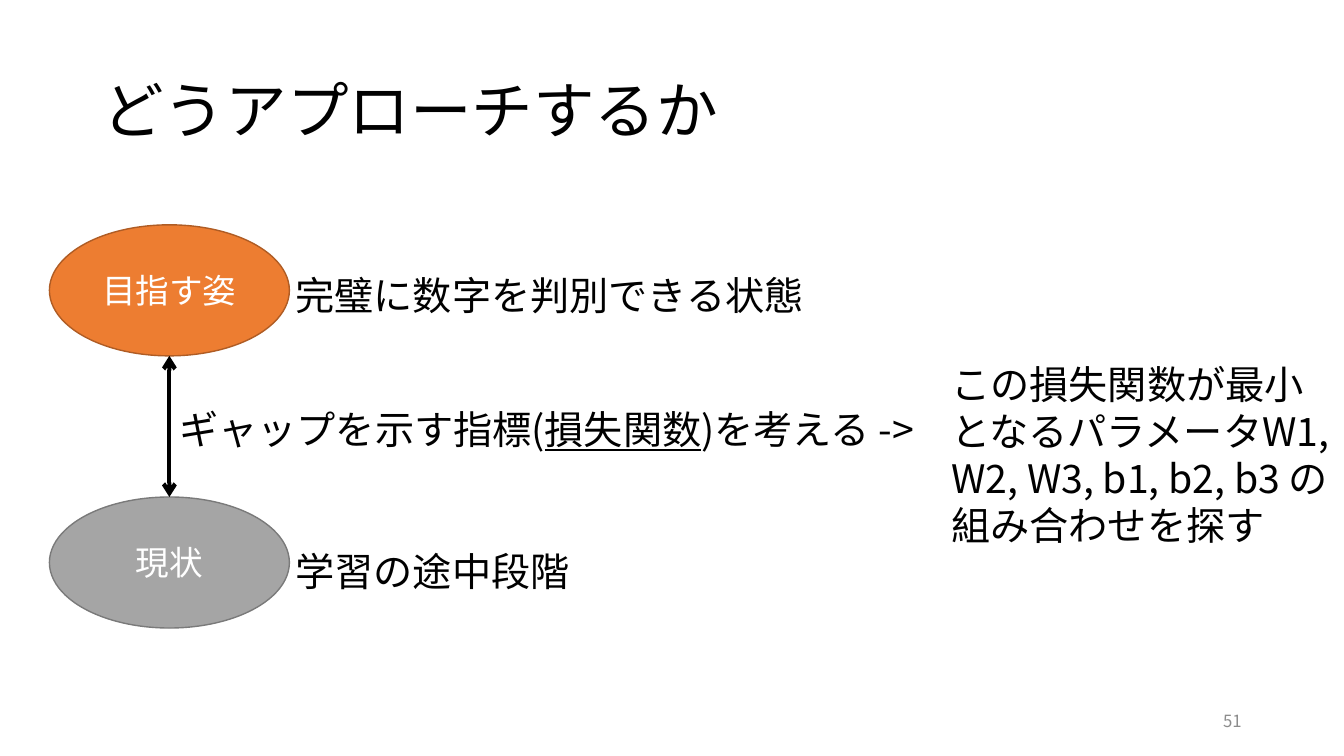
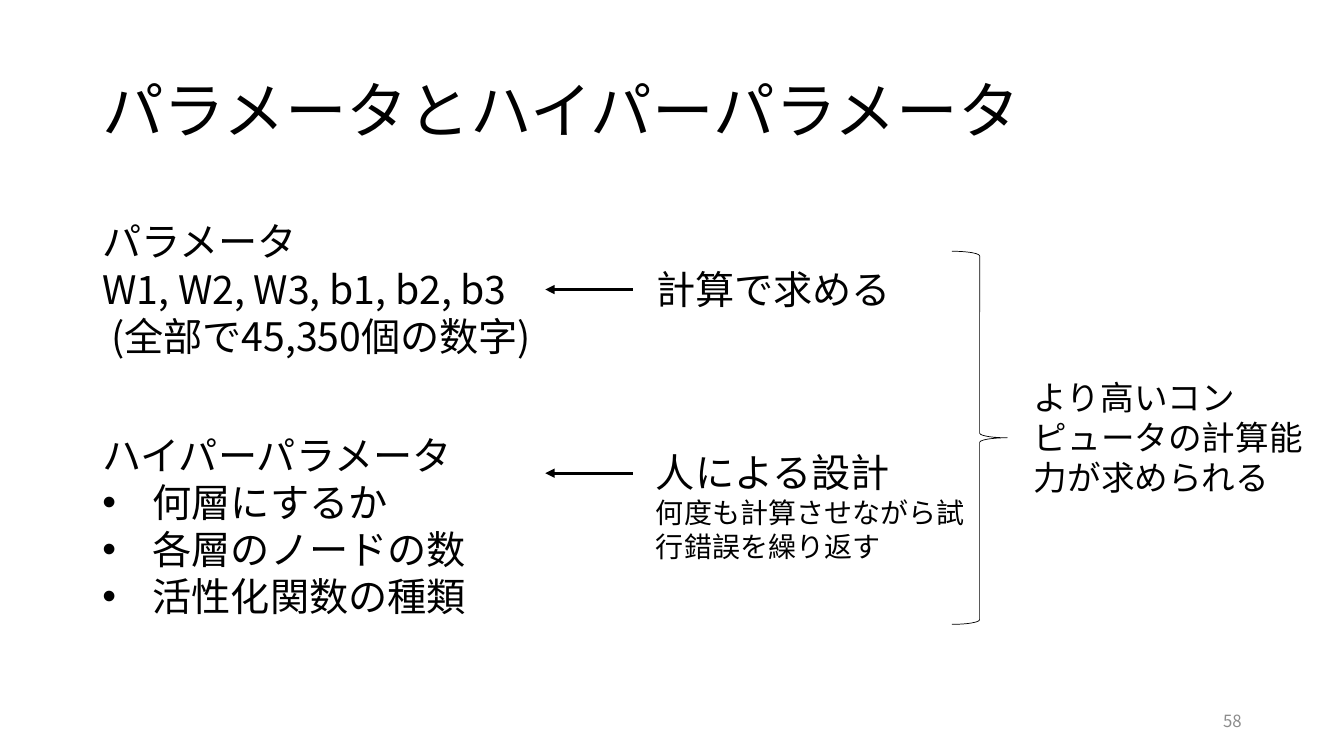
from lxml import etree
from pptx import Presentation
from pptx.dml.color import RGBColor
from pptx.enum import shapes, text
from pptx.oxml.ns import qn
from pptx.util import Pt

FONT = "Noto Sans CJK JP"
BLACK, WHITE, GREY = "000000", "FFFFFF", "8C8C8C"
ORANGE, DARK_ORANGE = "ED7D31", "AF5C24"
SILVER, DARK_SILVER = "A5A5A5", "7A7A7A"
LEFT, CENTER, RIGHT = text.PP_ALIGN.LEFT, text.PP_ALIGN.CENTER, text.PP_ALIGN.RIGHT
TOP, MIDDLE = text.MSO_ANCHOR.TOP, text.MSO_ANCHOR.MIDDLE


def color(value):
    return RGBColor.from_string(value)


class Deck:
    """The shared style and the slide being built."""

    def __init__(self):
        self.presentation = Presentation()
        self.presentation.slide_width = Pt(960)
        self.presentation.slide_height = Pt(540)
        self.slide = None

    def start(self, title, number):
        layout = self.presentation.slide_layouts[6]
        self.slide = self.presentation.slides.add_slide(layout)
        heading = self.text(66, 28.8, 828, 104.4, [title], size=44, anchor=MIDDLE)
        heading.paragraphs[0].line_spacing = 0.9
        self.text(678, 500.5, 216, 28.8, [number], size=12, fill=GREY,
                  align=RIGHT, anchor=MIDDLE)

    def style(self, paragraph, size, fill=BLACK, align=LEFT):
        paragraph.alignment = align
        font = paragraph.font
        font.size = Pt(size)
        font.color.rgb = color(fill)
        font.name = FONT
        # East Asian characters need their own typeface entry
        properties = paragraph._p.pPr.find(qn("a:defRPr"))
        etree.SubElement(properties, qn("a:ea"), typeface=FONT)

    def text(self, left, top, width, height, lines, size=28, fill=BLACK,
             align=LEFT, anchor=TOP):
        """Each line is a string, or a list of (string, underlined) runs."""
        box = self.slide.shapes.add_textbox(Pt(left), Pt(top), Pt(width), Pt(height))
        frame = box.text_frame
        frame.word_wrap = True
        frame.vertical_anchor = anchor
        for index, line in enumerate(lines):
            paragraph = frame.paragraphs[0] if index == 0 else frame.add_paragraph()
            self.style(paragraph, size, fill, align)
            runs = [(line, False)] if isinstance(line, str) else line
            for words, underlined in runs:
                run = paragraph.add_run()
                run.text = words
                if underlined:
                    run.font.underline = True
        return frame

    def bullet(self, paragraph, indent=36):
        properties = paragraph._p.get_or_add_pPr()
        properties.set("marL", str(Pt(indent)))
        properties.set("indent", str(-Pt(indent)))
        marker = etree.Element(qn("a:buChar"), char="•")
        properties.find(qn("a:defRPr")).addprevious(marker)
        marker.addprevious(etree.Element(qn("a:buFont"), typeface="Arial"))

    def ellipse(self, left, top, width, height, label, fill, outline):
        shape = self.slide.shapes.add_shape(
            shapes.MSO_SHAPE.OVAL, Pt(left), Pt(top), Pt(width), Pt(height))
        shape.shadow.inherit = False
        shape.fill.solid()
        shape.fill.fore_color.rgb = color(fill)
        shape.line.color.rgb = color(outline)
        shape.line.width = Pt(1)
        frame = shape.text_frame
        frame.vertical_anchor = MIDDLE
        frame.text = label
        self.style(frame.paragraphs[0], 24, WHITE, CENTER)
        return shape

    def brace(self, left, top, width, height):
        shape = self.slide.shapes.add_shape(
            shapes.MSO_SHAPE.RIGHT_BRACE, Pt(left), Pt(top), Pt(width), Pt(height))
        shape.shadow.inherit = False
        shape.fill.background()
        shape.line.color.rgb = color(BLACK)
        shape.line.width = Pt(0.5)

    def arrow(self, x1, y1, x2, y2, weight, tail, head=None):
        connector = self.slide.shapes.add_connector(
            shapes.MSO_CONNECTOR.STRAIGHT, Pt(x1), Pt(y1), Pt(x2), Pt(y2))
        connector.line.color.rgb = color(BLACK)
        connector.line.width = Pt(weight)
        line = connector.line._get_or_add_ln()
        for tag, kind in (("a:headEnd", head), ("a:tailEnd", tail)):
            if kind:
                etree.SubElement(line, qn(tag), type=kind)
        etree.SubElement(connector._element.spPr, qn("a:effectLst"))
        return connector


def approach_slide(deck):
    deck.start("どうアプローチするか", "51")

    # Goal and present state, with the gap between them
    left, width, height = 35.3, 171.4, 93.6
    goal_top, present_top = 160.6, 355
    center = left + width / 2
    deck.ellipse(left, goal_top, width, height, "目指す姿", ORANGE, DARK_ORANGE)
    present = deck.ellipse(left, present_top, width, height, "現状", SILVER, DARK_SILVER)
    gap = deck.arrow(center, present_top, center, goal_top + height, 3, "arrow", "arrow")
    gap.begin_connect(present, 0)

    # Explanations
    deck.text(center, 286, 558, 41, [[("ギャップを示す指標(", False), ("損失関数", True),
                                      (")を考える ->", False)]])
    deck.text(204, 190, 382, 41, ["完璧に数字を判別できる状態"])
    deck.text(204, 387.5, 212, 41, ["学習の途中段階"])
    deck.text(672.5, 254, 291.6, 143,
              ["この損失関数が最小となるパラメータW1, W2, W3, b1, b2, b3 の組み合わせを探す"])


def parameter_slide(deck):
    deck.start("パラメータとハイパーパラメータ", "58")

    # Kinds of parameter
    deck.text(66, 152, 329, 109,
              ["パラメータ", "W1, W2, W3, b1, b2, b3", " (全部で45,350個の数字)"])
    hyper = deck.text(66, 304.5, 277, 177, ["ハイパーパラメータ", "何層にするか",
                                            "各層のノードの数", "活性化関数の種類"])
    for paragraph in hyper.paragraphs[1:]:
        deck.bullet(paragraph)

    # How each kind is found
    deck.text(461.5, 186.3, 184, 41, ["計算で求める"])
    design = deck.text(461.5, 317, 249, 90,
                       ["人による設計", "何度も計算させながら試行錯誤を繰り返す"])
    design.paragraphs[1].font.size = Pt(20)
    for y in (206.8, 338):
        deck.arrow(452, y, 389.5, y, 2.25, "triangle")

    # Consequence
    deck.brace(680, 179.5, 39.5, 266.5)
    deck.text(731.5, 265.5, 206.6, 94, ["より高いコンピュータの計算能力が求められる"], size=24)


def main():
    deck = Deck()
    approach_slide(deck)
    parameter_slide(deck)
    deck.presentation.save("out.pptx")


if __name__ == "__main__":
    main()
